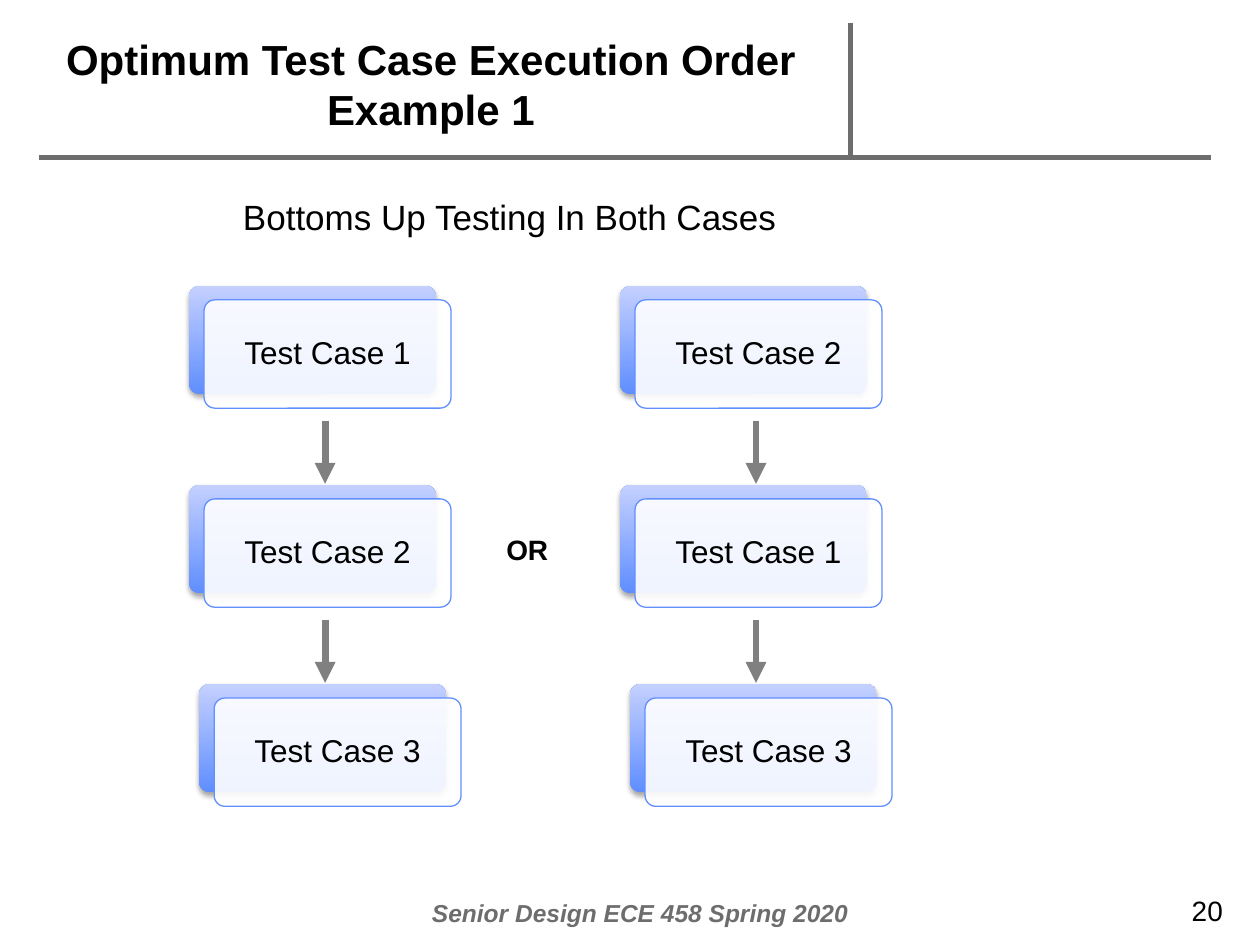
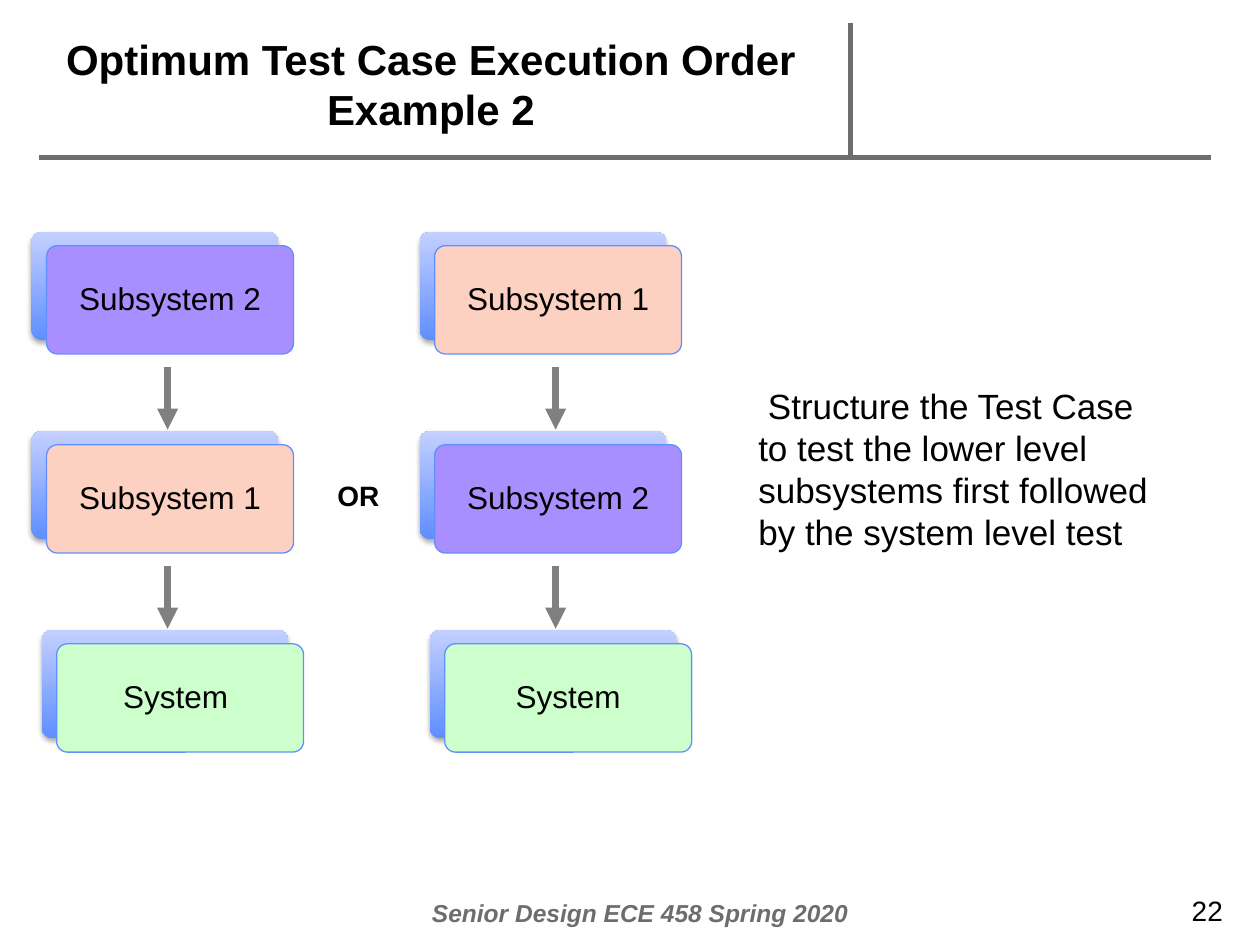
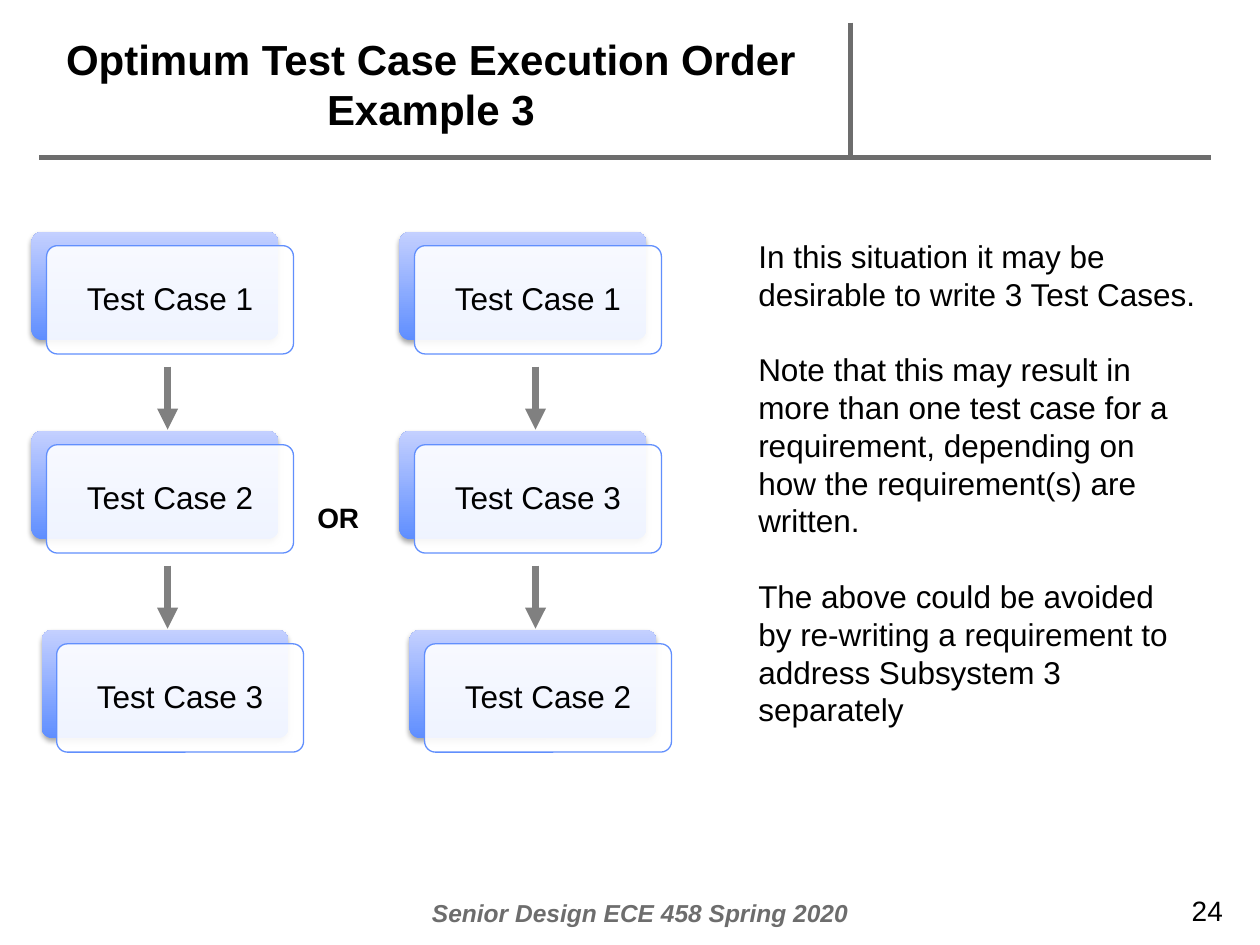
import pptx
import pptx.util
import pptx.dml.color
import pptx.enum.shapes
import pptx.enum.text
import pptx.oxml
import pptx.oxml.ns
from pptx.util import Inches

FONT = "Arial"
COLORS = {
    "text": "000000",
    "rule": "6D6D6D",
    "arrow": "808080",
    "card_dark": "5F8EFF",
    "card_light": "C4D0FF",
    "card_line": "618FFD",
    "white": "FFFFFF",
    "violet": "A98EFF",
    "peach": "FCD1C1",
    "green": "CCFFCC",
}
FOOTER = "Senior Design ECE 458 Spring 2020"

# Flow layout
CARD_WIDTH, CARD_HEIGHT = 1.96, 0.86
FRONT_SHIFT_X, FRONT_SHIFT_Y = 0.12, 0.11
ROW_STEP = 1.58
LAST_CARD_SHIFT = 0.08
ARROW_SHIFT_X, ARROW_SHIFT_Y, ARROW_LENGTH = 1.08, 1.07, 0.5

CARD_FILLS = {
    "Subsystem 1": "peach",
    "Subsystem 2": "violet",
    "System": "green",
}


def rgb(name):
    return pptx.dml.color.RGBColor.from_string(COLORS[name])


def effect_list(content=""):
    namespace = pptx.oxml.ns.nsdecls("a")
    return pptx.oxml.parse_xml(f"<a:effectLst {namespace}>{content}</a:effectLst>")


def style_paragraph(paragraph, size, color="text", bold=False, italic=False):
    font = paragraph.font
    font.name = FONT
    font.size = pptx.util.Pt(size)
    font.color.rgb = rgb(color)
    font.bold = bold
    font.italic = italic


def add_text(slide, box, paragraphs, size, gap=0, **style):
    shape = slide.shapes.add_textbox(*map(Inches, box))
    frame = shape.text_frame
    frame.word_wrap = True
    frame.text = "\n".join(paragraphs)
    for index, paragraph in enumerate(frame.paragraphs):
        style_paragraph(paragraph, size, **style)
        if index:
            paragraph.space_before = pptx.util.Pt(gap)
    return shape


def add_line(slide, start, end, color, width, arrow=False):
    connector = slide.shapes.add_connector(
        pptx.enum.shapes.MSO_CONNECTOR.STRAIGHT, *map(Inches, (*start, *end)))
    connector.line.color.rgb = rgb(color)
    connector.line.width = pptx.util.Pt(width)
    properties = connector.element.spPr
    if arrow:
        head = pptx.oxml.parse_xml(
            f'<a:tailEnd {pptx.oxml.ns.nsdecls("a")} type="triangle"/>')
        properties.find(pptx.oxml.ns.qn("a:ln")).append(head)
    properties.append(effect_list())


def add_rounded(group, left, top):
    shape = group.shapes.add_shape(
        pptx.enum.shapes.MSO_SHAPE.ROUNDED_RECTANGLE,
        *map(Inches, (left, top, CARD_WIDTH, CARD_HEIGHT)))
    shape.adjustments[0] = 0.1
    return shape


def add_card(slide, left, top, label):
    group = slide.shapes.add_group_shape()

    # Shaded back plate
    back = add_rounded(group, left, top)
    back.fill.gradient()
    back.fill.gradient_angle = 90
    for stop, color in zip(back.fill.gradient_stops, ("card_dark", "card_light")):
        stop.color.rgb = rgb(color)
    back.line.fill.background()
    back.element.spPr.append(effect_list(
        '<a:outerShdw blurRad="40000" dist="23000" dir="5400000" rotWithShape="0">'
        '<a:srgbClr val="000000"><a:alpha val="35000"/></a:srgbClr></a:outerShdw>'))

    # Front plate with the label
    front = add_rounded(group, left + FRONT_SHIFT_X, top + FRONT_SHIFT_Y)
    front.shadow.inherit = False
    fill_name = CARD_FILLS.get(label.strip(), "white")
    front.fill.solid()
    front.fill.fore_color.rgb = rgb(fill_name)
    if fill_name == "white":
        color = front.element.spPr.find(".//" + pptx.oxml.ns.qn("a:srgbClr"))
        color.append(pptx.oxml.parse_xml(
            f'<a:alpha {pptx.oxml.ns.nsdecls("a")} val="90000"/>'))
    front.line.color.rgb = rgb("card_line")
    front.line.width = pptx.util.Pt(0.75)
    frame = front.text_frame
    frame.word_wrap = True
    frame.vertical_anchor = pptx.enum.text.MSO_ANCHOR.MIDDLE
    frame.text = label
    paragraph = frame.paragraphs[0]
    paragraph.alignment = pptx.enum.text.PP_ALIGN.CENTER
    paragraph.line_spacing = 0.9
    style_paragraph(paragraph, 18)


def add_flow(slide, left, top, labels):
    last = len(labels) - 1
    for row, label in enumerate(labels):
        row_top = top + row * ROW_STEP
        shift = LAST_CARD_SHIFT if row == last else 0
        add_card(slide, left + shift, row_top, label)
        if row < last:
            x, y = left + ARROW_SHIFT_X, row_top + ARROW_SHIFT_Y
            add_line(slide, (x, y), (x, y + ARROW_LENGTH), "arrow", 4, arrow=True)


def add_or(slide, left, top):
    add_text(slide, (left, top, 0.83, 0.37), ["OR"], 16, bold=True)


def add_example_slide(presentation, example, number):
    slide = presentation.slides.add_slide(presentation.slide_layouts[6])
    # Footer, rules and slide number
    add_text(slide, (3.33, 7.08, 4, 0.33), [FOOTER], 14,
             color="rule", bold=True, italic=True)
    add_line(slide, (0.31, 1.25), (9.61, 1.25), "rule", 3)
    add_line(slide, (6.75, 0.18), (6.75, 1.24), "rule", 3)
    add_text(slide, (9.36, 7.04, 0.48, 0.37), [str(number)], 16)
    # Title
    title = add_text(slide, (0.17, 0.33, 6.5, 0.67),
                     [f"Optimum Test Case Execution Order\vExample {example}"],
                     24, bold=True)
    title.text_frame.vertical_anchor = pptx.enum.text.MSO_ANCHOR.MIDDLE
    title.text_frame.paragraphs[0].alignment = pptx.enum.text.PP_ALIGN.CENTER
    return slide


def main():
    presentation = pptx.Presentation()
    presentation.slide_width = Inches(10)
    presentation.slide_height = Inches(7.5)

    # Example 1
    slide = add_example_slide(presentation, 1, 20)
    add_flow(slide, 1.5, 2.27, ["Test Case 1", "Test Case 2", "Test Case 3"])
    add_flow(slide, 4.92, 2.27, ["Test Case 2", "Test Case 1", "Test Case 3"])
    add_or(slide, 3.92, 4.18)
    add_text(slide, (1.83, 1.5, 6.08, 0.44), ["Bottoms Up Testing In Both Cases"], 20)

    # Example 2
    slide = add_example_slide(presentation, 2, 22)
    add_flow(slide, 0.25, 1.84, ["Subsystem 2", "Subsystem 1", "System "])
    add_flow(slide, 3.33, 1.84, ["Subsystem 1", "Subsystem 2", "System"])
    add_or(slide, 2.58, 3.75)
    add_text(slide, (5.92, 3, 3.33, 1.45), [
        " Structure the Test Case to test the lower level subsystems first "
        "followed by the system level test"], 20)

    # Example 3
    slide = add_example_slide(presentation, 3, 24)
    add_flow(slide, 0.25, 1.84, ["Test Case 1", "Test Case 2", "Test Case 3"])
    add_flow(slide, 3.17, 1.84, ["Test Case 1", "Test Case 3", "Test Case 2"])
    add_or(slide, 2.42, 3.92)
    add_text(slide, (5.92, 1.83, 3.67, 4.04), [
        "In this situation it may be desirable to write 3 Test Cases.",
        "Note that this may result in more than one test case for a requirement, "
        "depending on how the requirement(s) are written.",
        "The above could be avoided by re-writing a requirement to address "
        "Subsystem 3 separately"], 18, gap=21.6)

    presentation.save("out.pptx")


if __name__ == "__main__":
    main()
